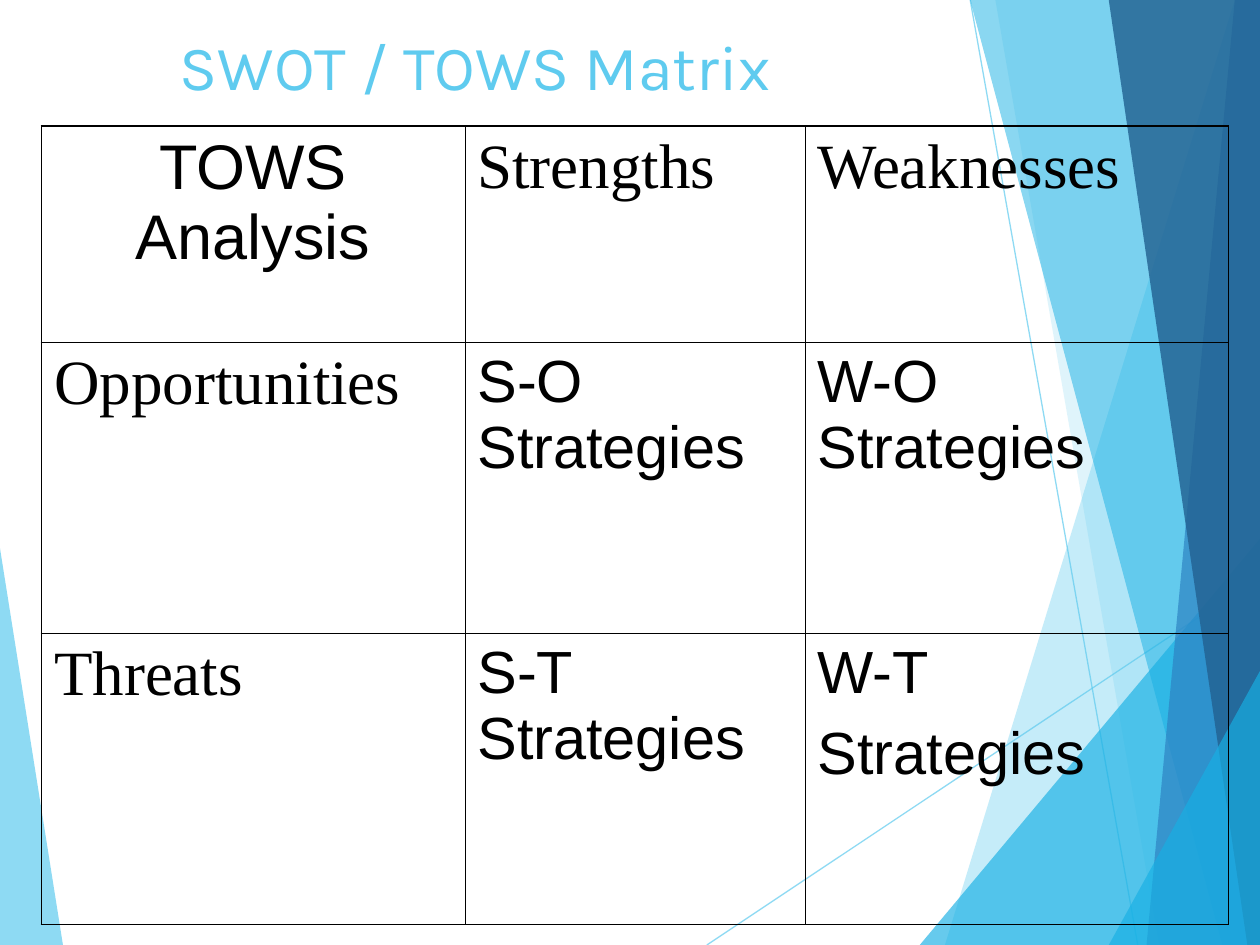
from lxml.etree import SubElement
from pptx import Presentation
from pptx.dml.color import RGBColor
from pptx.enum.shapes import MSO_CONNECTOR
from pptx.enum.text import MSO_ANCHOR, PP_ALIGN
from pptx.oxml.ns import qn
from pptx.util import Inches, Pt

SKY = RGBColor(0x5F, 0xCB, 0xEF)
CYAN = RGBColor(0x17, 0xB0, 0xE4)
BLUE = RGBColor(0x2E, 0x83, 0xC3)
NAVY = RGBColor(0x23, 0x62, 0x92)
BLACK = RGBColor(0, 0, 0)

deck = Presentation()
deck.slide_width, deck.slide_height = Inches(10), Inches(7.5)
page = deck.slides.add_slide(deck.slide_layouts[6])
# One unit is one percent of the slide's width or height
unit_x, unit_y = deck.slide_width / 100, deck.slide_height / 100


def set_opacity(format_xml, percent):
    color = next(format_xml.iter(qn("a:srgbClr")))
    SubElement(color, qn("a:alpha"), val=str(percent * 1000))


def set_border(cell, side, width):
    line = SubElement(cell._tc.get_or_add_tcPr(), qn(f"a:{side}"), w=str(Pt(width)))
    fill = SubElement(line, qn("a:solidFill"))
    SubElement(fill, qn("a:srgbClr"), val=str(BLACK))


# Background facets: a slanted edge, closed along the slide's border
low_left, low_right, top_right = (0, 100), (100, 100), (100, 0)
facets = [
    ([(0, 58.5), (4.9, 100), low_left], SKY, 70),
    ([(97.5, 0), (75.4, 100), low_right, top_right], SKY, 36),
    ([(78.8, 0), (91.9, 100), low_right, top_right], SKY, 20),
    ([(72.6, 100), (100, 57.2), low_right], CYAN, 66),
    ([(76.7, 0), (97, 100), low_right, top_right], CYAN, 50),
    ([(98.1, 0), (90.7, 100), low_right, top_right], BLUE, 70),
    ([(88.5, 0), (98.8, 100), low_right, top_right], NAVY, 82),
    ([(88.2, 100), (100, 71.3), low_right], CYAN, 66),
]
for points, color, opacity in facets:
    builder = page.shapes.build_freeform(*points[0], scale=(unit_x, unit_y))
    builder.add_line_segments(points[1:], close=True)
    facet = builder.convert_to_shape()
    facet.shadow.inherit = False
    facet.fill.solid()
    facet.fill.fore_color.rgb = color
    set_opacity(facet._element.spPr, opacity)
    facet.line.fill.background()

    # The thin lines lie just above the left facet
    if points[-1] == low_left:
        for x1, y1, x2, y2 in [(56.1, 100, 100, 61), (77, 0, 90.3, 100)]:
            ray = page.shapes.add_connector(
                MSO_CONNECTOR.STRAIGHT,
                int(x1 * unit_x), int(y1 * unit_y), int(x2 * unit_x), int(y2 * unit_y))
            ray.line.width = Pt(0.75)
            ray.line.color.rgb = SKY
            set_opacity(ray._element.spPr, 70)
            SubElement(ray._element.spPr, qn("a:effectLst"))

# Title
title = page.shapes.add_textbox(
    int(13.3 * unit_x), int(2.3 * unit_y), int(78.3 * unit_x), int(14.4 * unit_y))
title.text_frame.word_wrap = True
title.text_frame.vertical_anchor = MSO_ANCHOR.TOP
title.text_frame.text = "SWOT / TOWS Matrix"
font = title.text_frame.paragraphs[0].runs[0].font
font.name, font.size, font.color.rgb = "Karla", Pt(36), SKY

# Matrix
rows = [
    ["TOWS Analysis", "Strengths", "Weaknesses"],
    ["Opportunities", "S-O Strategies", "W-O Strategies"],
    ["Threats", "S-T Strategies", "W-T\nStrategies"],
]
column_shares = [33.6, 27, 33.6]
row_shares = [22.9, 30.8, 30.8]
matrix = page.shapes.add_table(
    3, 3, int(3.3 * unit_x), int(13.33 * unit_y),
    int(sum(column_shares) * unit_x), int(sum(row_shares) * unit_y)).table
matrix.first_row = matrix.horz_banding = False
for column, share in zip(matrix.columns, column_shares):
    column.width = int(share * unit_x)
for row, share in zip(matrix.rows, row_shares):
    row.height = int(share * unit_y)

for r, texts in enumerate(rows):
    for c, text in enumerate(texts):
        cell = matrix.cell(r, c)
        # Outer borders are thicker than inner ones
        outer = {"lnL": c == 0, "lnR": c == 2, "lnT": r == 0, "lnB": r == 2}
        for side, is_outer in outer.items():
            set_border(cell, side, 1.08 if is_outer else 0.45)
        cell.fill.background()
        cell.text_frame.text = text
        is_heading = (r == 0) != (c == 0)
        is_strategy = r > 0 and c > 0
        for index, para in enumerate(cell.text_frame.paragraphs):
            para.alignment = PP_ALIGN.CENTER if r == c == 0 else PP_ALIGN.LEFT
            if index:
                para.space_before = Pt(8.5)
            font = para.runs[0].font
            font.name = "Times New Roman" if is_heading else "Arial"
            font.size = Pt(34 if is_strategy else 36)
            font.color.rgb = BLACK

deck.save("out.pptx")
